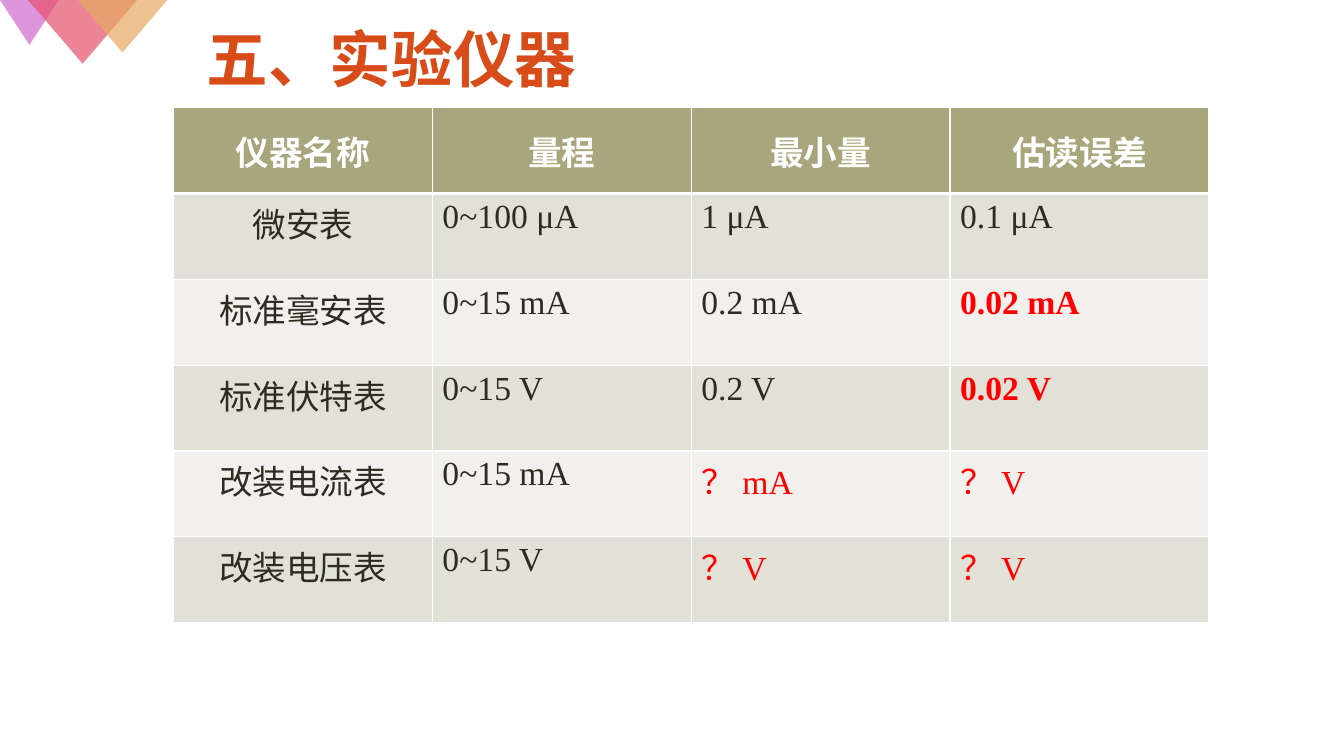
from pptx import Presentation
from pptx.dml.color import RGBColor
from pptx.enum.shapes import MSO_SHAPE
from pptx.enum.text import MSO_ANCHOR, MSO_AUTO_SIZE, PP_ALIGN
from pptx.oxml.ns import qn
from pptx.util import Pt
from lxml.etree import SubElement

HUES = {"title": "D74C19", "head": "A9A57C", "odd": "E2E1D7", "even": "F1F0EC",
        "ink": "2F2B20", "red": "FF0000", "white": "FFFFFF",
        "plum": "CF68CD", "rose": "E6526D", "sand": "E8A962"}
HAN = "Noto Sans CJK SC"


def add_run(para, text, size, face, hue, bold=False):
    run = para.add_run()
    run.text = text
    font = run.font
    font.size, font.name, font.bold = Pt(size), face, bold
    font.color.rgb = RGBColor.from_string(HUES[hue])
    SubElement(run._r.get_or_add_rPr(), qn("a:ea"), typeface=HAN)


def add_edge(cell, side, width):
    line = SubElement(cell._tc.get_or_add_tcPr(), qn("a:ln" + side), w=str(Pt(width)))
    fill = SubElement(line, qn("a:solidFill"))
    SubElement(fill, qn("a:srgbClr"), val=HUES["white"])


deck = Presentation()
deck.slide_width, deck.slide_height = Pt(960), Pt(540)
slide = deck.slides.add_slide(deck.slide_layouts[5])

# Corner triangles, pointing down
for left, width, height, hue in [(0, 42, 32, "plum"), (20, 78, 45.5, "rose"),
                                 (55.5, 64, 37.5, "sand")]:
    tri = slide.shapes.add_shape(MSO_SHAPE.ISOSCELES_TRIANGLE,
                                 Pt(left), 0, Pt(width), Pt(height))
    tri.rotation = 180
    tri.shadow.inherit = False
    tri.line.fill.background()
    tri.fill.solid()
    tri.fill.fore_color.rgb = RGBColor.from_string(HUES[hue])
    tone = tri._element.spPr.find(".//" + qn("a:srgbClr"))
    SubElement(tone, qn("a:alpha"), val="70000")

# Title
title = slide.shapes.title
title.left, title.top, title.width, title.height = Pt(140.4), Pt(4.3), Pt(534), Pt(81.4)
frame = title.text_frame
frame.word_wrap = True
frame.auto_size = MSO_AUTO_SIZE.NONE
frame.vertical_anchor = MSO_ANCHOR.MIDDLE
para = frame.paragraphs[0]
para.alignment = PP_ALIGN.LEFT
para.line_spacing = 0.9
add_run(para, "五、实验仪器", 44, HAN, "title", True)

# Instrument table
rows = [
    ("仪器名称", "量程", "最小量", "估读误差"),
    ("微安表", "0~100 μA", "1 μA", "0.1 μA"),
    ("标准毫安表", "0~15 mA", "0.2 mA", "0.02 mA"),
    ("标准伏特表", "0~15 V", "0.2 V", "0.02 V"),
    ("改装电流表", "0~15 mA", "？ mA", "？ V"),
    ("改装电压表", "0~15 V", "？ V", "？ V"),
]
grid = slide.shapes.add_table(len(rows), 4, Pt(124), Pt(77), Pt(739.6), Pt(367.8)).table
for col in grid.columns:
    col.width = Pt(184.9)
for r, row in enumerate(rows):
    grid.rows[r].height = Pt(61.3)
    for c, text in enumerate(row):
        cell = grid.cell(r, c)
        for side in "LRTB":
            thick = (r, side) in [(0, "B"), (1, "T")]
            add_edge(cell, side, 3 if thick else 1)
        band = "head" if r == 0 else "odd" if r % 2 else "even"
        cell.fill.solid()
        cell.fill.fore_color.rgb = RGBColor.from_string(HUES[band])
        cell.vertical_anchor = MSO_ANCHOR.TOP if r else MSO_ANCHOR.MIDDLE
        para = cell.text_frame.paragraphs[0]
        para.alignment = PP_ALIGN.LEFT if r and c else PP_ALIGN.CENTER
        if r == 0:
            add_run(para, text, 24, "Calibri", "white", True)
        elif c == 0:
            add_run(para, text, 24, "Arial", "ink")
        else:
            known = text.startswith("0.02")
            hue = "red" if known or "？" in text else "ink"
            add_run(para, text, 24, "Times New Roman", hue, known)

deck.save("out.pptx")
